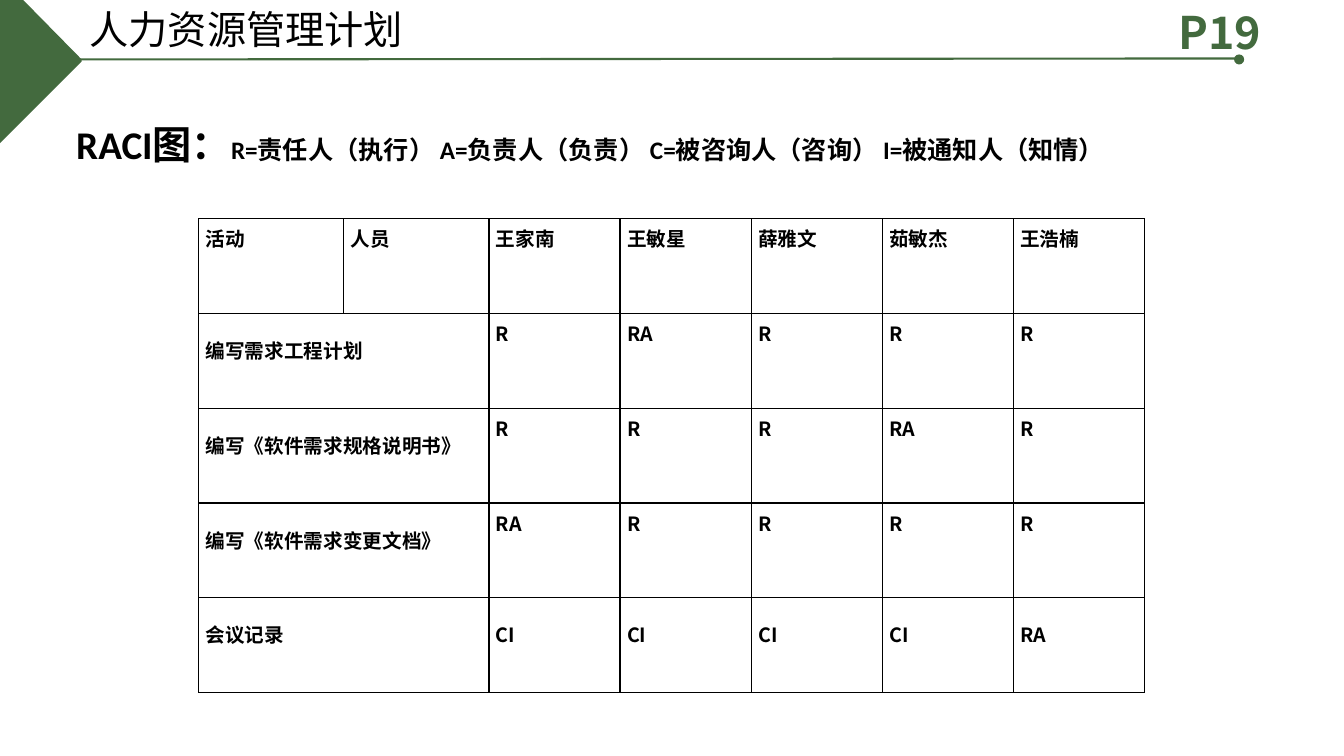
"""Build the RACI slide of a human resource management plan."""
from dataclasses import dataclass

from lxml import etree
from pptx import Presentation
from pptx.dml.color import RGBColor
from pptx.enum.shapes import MSO_CONNECTOR as Connector, MSO_SHAPE as Shape
from pptx.oxml.ns import qn
from pptx.util import Inches, Pt

GREEN, BLACK = "436A3E", "000000"
CJK, LATIN = "Noto Sans CJK SC", "Calibri"
LINE_STEP = 0.17


@dataclass
class Label:
    """One line of text made of (text, size) pieces."""
    left: float
    top: float
    width: float
    height: float
    pieces: list[tuple[str, int]]
    color: str = BLACK
    face: str = CJK
    bold: bool = False


@dataclass
class Activity:
    """One table row: a task and the role of each person."""
    task: str
    roles: list[str]
    role_lines: int = 1


LABELS = [
    Label(0.79, 0, 4.38, 0.57, [("人力资源管理计划", 28)]),
    Label(11.59, 0, 1.17, 0.64, [("P19", 32)], GREEN, bold=True),
    Label(0.57, 1.14, 11.72, 0.57,
          [(" RACI图：", 28),
           ("R=责任人（执行） A=负责人（负责） C=被咨询人（咨询） I=被通知人（知情）", 18)],
          face=LATIN, bold=True),
]
PEOPLE = ["王家南", "王敏星", "薛雅文", "茹敏杰", "王浩楠"]
ACTIVITIES = [
    Activity("编写需求工程计划", ["R", "RA", "R", "R", "R"]),
    Activity("编写《软件需求规格说明书》", ["R", "R", "R", "RA", "R"]),
    Activity("编写《软件需求变更文档》", ["RA", "R", "R", "R", "R"]),
    Activity("会议记录", ["CI", "CI", "CI", "CI", "RA"], 2),
]


def rgb(color: str) -> RGBColor:
    return RGBColor.from_string(color)


def set_font(paragraph, face: str, color: str, bold: bool) -> None:
    font = paragraph.font
    font.name, font.bold = face, bold
    font.color.rgb = rgb(color)
    defaults = paragraph._p.pPr.find(qn("a:defRPr"))
    etree.SubElement(defaults, qn("a:ea"), typeface=CJK)


def paint(shape) -> None:
    shape.shadow.inherit = False
    shape.fill.solid()
    shape.fill.fore_color.rgb = rgb(GREEN)
    shape.line.fill.background()


def add_header(slide) -> None:
    outline = [(0.23, 0), (0.81, 0.59), (0.81, 0.61), (0, 1.42), (0, 0)]
    points = [(Inches(x), Inches(y)) for x, y in outline]
    builder = slide.shapes.build_freeform(*points[0])
    builder.add_line_segments(points[1:], close=True)
    paint(builder.convert_to_shape())

    rule = slide.shapes.add_connector(
        Connector.STRAIGHT, Inches(0.76), Inches(0.59), Inches(12.27), Inches(0.58))
    rule.line.color.rgb = rgb(GREEN)
    rule.line.width = Pt(1.5)
    etree.SubElement(rule._element.spPr, qn("a:effectLst"))

    paint(slide.shapes.add_shape(
        Shape.OVAL, Inches(12.24), Inches(0.54), Inches(0.1), Inches(0.1)))


def add_label(slide, label: Label) -> None:
    box = slide.shapes.add_textbox(*map(
        Inches, (label.left, label.top, label.width, label.height)))
    box.text_frame.word_wrap = True
    paragraph = box.text_frame.paragraphs[0]
    set_font(paragraph, label.face, label.color, label.bold)
    if len(label.pieces) == 1:
        paragraph.font.size = Pt(label.pieces[0][1])
    for text, size in label.pieces:
        run = paragraph.add_run()
        run.text = text
        if len(label.pieces) > 1:
            run.font.size = Pt(size)


def style_cell(cell) -> None:
    properties = cell._tc.get_or_add_tcPr()
    for side in ("lnL", "lnR", "lnT", "lnB"):
        border = etree.SubElement(properties, qn(f"a:{side}"), w=str(Pt(1)))
        fill = etree.SubElement(border, qn("a:solidFill"))
        etree.SubElement(fill, qn("a:srgbClr"), val=BLACK)
    cell.fill.background()
    cell.margin_left = cell.margin_right = Inches(0.07)
    cell.margin_top = cell.margin_bottom = 0


def write_cell(cell, text: str, lines_above: int) -> None:
    cell.margin_top = Inches(LINE_STEP * lines_above)
    paragraph = cell.text_frame.paragraphs[0]
    paragraph.text = text
    paragraph.line_spacing = Pt(12)
    set_font(paragraph, CJK, BLACK, True)
    paragraph.font.size = Pt(14)


def add_raci_table(slide) -> None:
    widths = [1.44] * 2 + [1.3] * len(PEOPLE)
    row_count, row_height = len(ACTIVITIES) + 1, 0.94
    table = slide.shapes.add_table(
        row_count, len(widths), Inches(1.97), Inches(2.17),
        Inches(sum(widths)), Inches(row_height * row_count)).table
    for column, width in zip(table.columns, widths):
        column.width = Inches(width)
    for row in table.rows:
        row.height = Inches(row_height)
    for cell in table.iter_cells():
        style_cell(cell)
    for column, heading in enumerate(["活动", "人员", *PEOPLE]):
        write_cell(table.cell(0, column), heading, 1)
    for row, activity in enumerate(ACTIVITIES, start=1):
        task = table.cell(row, 0)
        task.merge(table.cell(row, 1))
        write_cell(task, activity.task, 2)
        for column, role in enumerate(activity.roles, start=2):
            write_cell(table.cell(row, column), role, activity.role_lines)


def main() -> None:
    deck = Presentation()
    deck.slide_width, deck.slide_height = Inches(13.33), Inches(7.5)
    slide = deck.slides.add_slide(deck.slide_layouts[6])
    add_header(slide)
    for label in LABELS:
        add_label(slide, label)
    add_raci_table(slide)
    deck.save("out.pptx")


if __name__ == "__main__":
    main()
